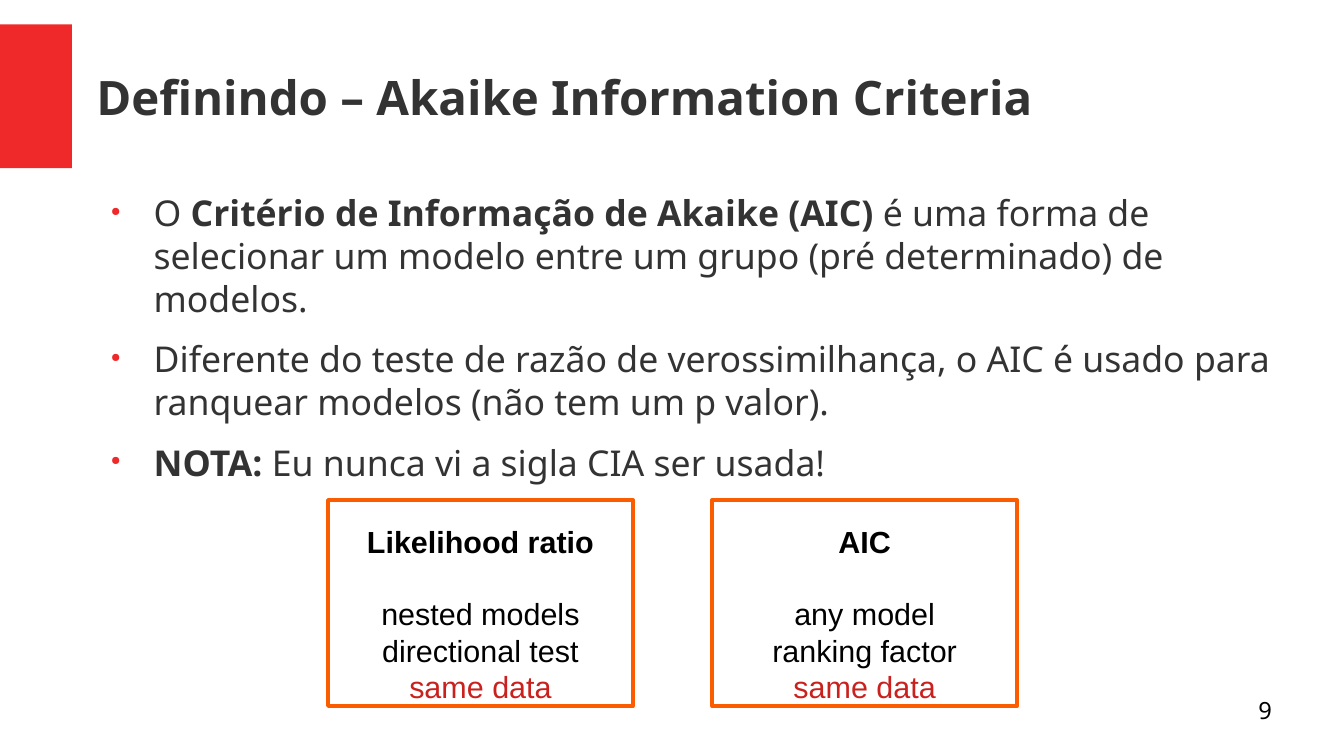
import pptx
import pptx.util
import pptx.dml.color
import pptx.enum.shapes
import pptx.enum.text
import pptx.oxml
import pptx.oxml.ns

Inches = pptx.util.Inches
Pt = pptx.util.Pt
RGBColor = pptx.dml.color.RGBColor
Align = pptx.enum.text.PP_ALIGN
Anchor = pptx.enum.text.MSO_ANCHOR

RED = RGBColor(0xEF, 0x29, 0x29)
DARK = RGBColor(0x33, 0x33, 0x33)
ORANGE = RGBColor(0xFC, 0x5C, 0x00)
BLACK = RGBColor(0, 0, 0)
CRIMSON = RGBColor(0xC9, 0x21, 0x1E)

BULLETS = [
    [("O ", False), ("Critério de Informação de Akaike (AIC)", True),
     (" é uma forma de selecionar um modelo entre um grupo (pré determinado) de modelos.", False)],
    [("Diferente do teste de razão de verossimilhança, o AIC é usado para "
      "ranquear modelos (não tem um p valor).", False)],
    [("NOTA:", True), (" Eu nunca vi a sigla CIA ser usada!", False)],
]
METHODS = [
    ("Likelihood ratio", ["nested models", "directional test"]),
    ("AIC", ["any model", "ranking factor"]),
]
FRAME_LEFT, FRAME_TOP, FRAME_WIDTH, FRAME_HEIGHT = 2.69, 4.1, 2.5, 1.69
FRAME_STEP = 3.15
TEXT_WIDTH = 2.06


def add_rectangle(page, left, top, width, height, fill=None, line=None):
    """Add a plain rectangle with an optional fill and outline."""
    box = page.shapes.add_shape(
        pptx.enum.shapes.MSO_SHAPE.RECTANGLE,
        Inches(left), Inches(top), Inches(width), Inches(height))
    box.shadow.inherit = False
    if fill is None:
        box.fill.background()
    else:
        box.fill.solid()
        box.fill.fore_color.rgb = fill
    if line is None:
        box.line.fill.background()
    else:
        box.line.color.rgb = line
        box.line.width = Pt(2.15)


def add_frame(page, left, top, width, height, inset=(0, 0)):
    """Add a text box and return its text frame."""
    box = page.shapes.add_textbox(Inches(left), Inches(top), Inches(width), Inches(height))
    frame = box.text_frame
    frame.word_wrap = True
    frame.margin_left = frame.margin_right = Inches(inset[0])
    frame.margin_top = frame.margin_bottom = Inches(inset[1])
    return frame


def next_para(frame, index):
    """Return the first paragraph or append another one."""
    return frame.add_paragraph() if index else frame.paragraphs[0]


def style_para(para, size, color, name="Noto Sans", bold=None, align=Align.LEFT):
    """Set the font and alignment of a paragraph."""
    para.font.size = Pt(size)
    para.font.name = name
    para.font.color.rgb = color
    para.font.bold = bold
    para.alignment = align


def add_line(page, text, place, size, color, **style):
    """Add a single line of text and return its frame."""
    frame = add_frame(page, *place)
    para = frame.paragraphs[0]
    para.text = text
    style_para(para, size, color, **style)
    return frame


def set_bullet(para):
    """Give a paragraph a hanging red bullet."""
    props = para._p.get_or_add_pPr()
    props.set("marL", str(Inches(0.47)))
    props.set("indent", str(Inches(-0.35)))
    space = pptx.oxml.ns.nsdecls("a")
    elements = [
        f'<a:buClr {space}><a:srgbClr val="{RED}"/></a:buClr>',
        f'<a:buSzPct {space} val="35000"/>',
        f'<a:buChar {space} char="●"/>',
    ]
    defaults = props.find(pptx.oxml.ns.qn("a:defRPr"))
    for element in elements:
        defaults.addprevious(pptx.oxml.parse_xml(element))


def add_bullets(page):
    """Add the bulleted body text."""
    frame = add_frame(page, 0.79, 1.57, 9.84, 3.74)
    for index, spans in enumerate(BULLETS):
        para = next_para(frame, index)
        style_para(para, 21, DARK)
        para.space_after = Pt(10.6)
        set_bullet(para)
        for text, bold in spans:
            span = para.add_run()
            span.text = text
            span.font.bold = bold


def add_method(page, left, heading, traits):
    """Add a framed summary of one method."""
    text_left = left + (FRAME_WIDTH - TEXT_WIDTH) / 2
    frame = add_frame(page, text_left, 4.24, TEXT_WIDTH, 1.5, (0.05, 0.05))
    for index, text in enumerate([heading, *traits, "same data"]):
        para = next_para(frame, index)
        para.text = text
        color = CRIMSON if text == "same data" else BLACK
        style_para(para, 18, color, "Arial", index == 0, Align.CENTER)
    frame.paragraphs[0].space_after = Pt(21)
    add_rectangle(page, left, FRAME_TOP, FRAME_WIDTH, FRAME_HEIGHT, line=ORANGE)


def main():
    """Build and save the slide."""
    deck = pptx.Presentation()
    deck.slide_width = Inches(11.02)
    deck.slide_height = Inches(6.2)
    page = deck.slides.add_slide(deck.slide_layouts[6])
    add_rectangle(page, 0, 0.2, 0.59, 1.18, fill=RED)
    title = add_line(page, "Definindo – Akaike Information Criteria",
                     (0.79, 0.2, 9.84, 1.18), 28, DARK, bold=True)
    title.vertical_anchor = Anchor.MIDDLE
    add_bullets(page)
    for index, method in enumerate(METHODS):
        add_method(page, FRAME_LEFT + index * FRAME_STEP, *method)
    add_line(page, "9", (7.87, 5.71, 2.56, 0.43), 14, BLACK, align=Align.RIGHT)
    deck.save("out.pptx")


if __name__ == "__main__":
    main()
